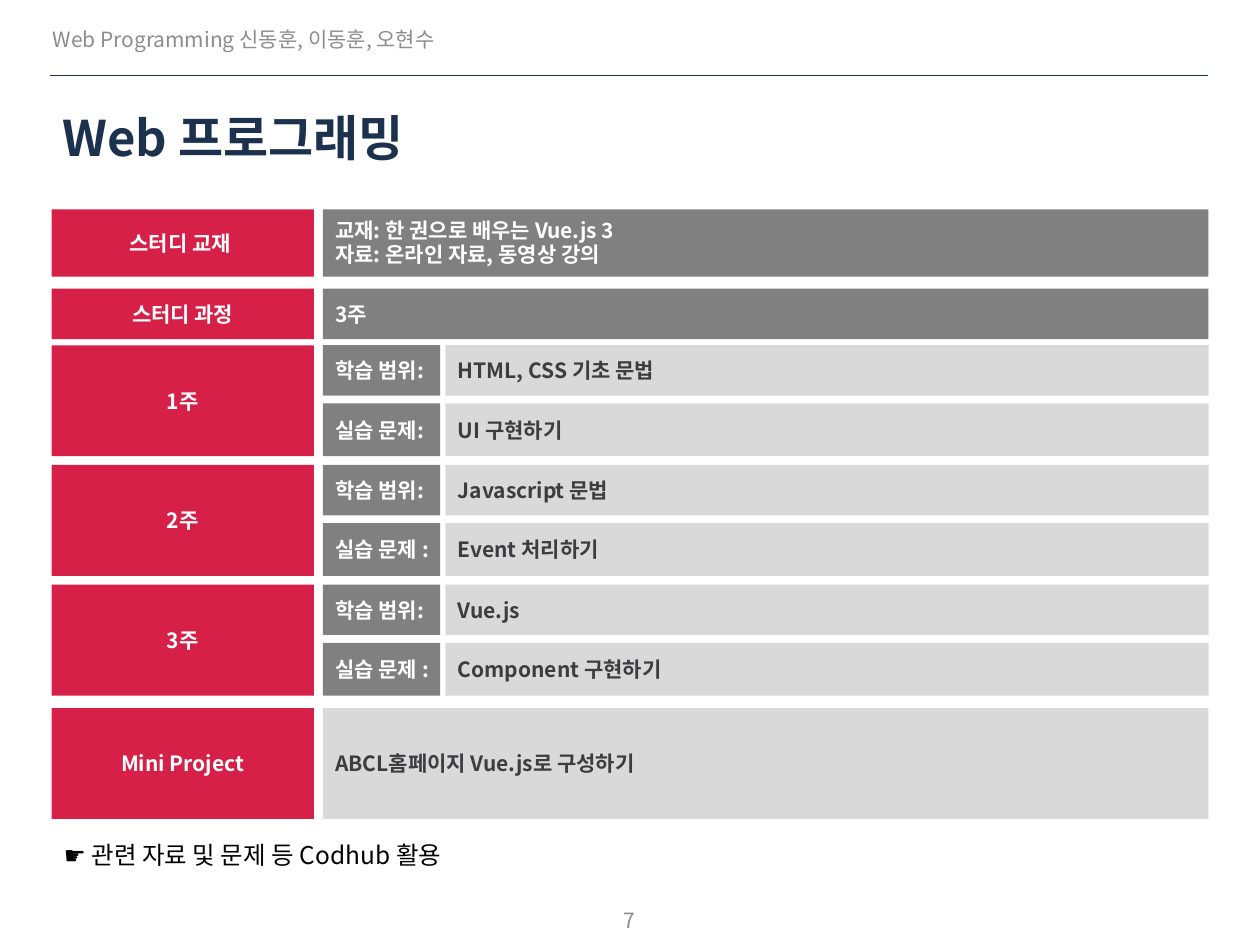
from dataclasses import dataclass

from lxml import etree
from pptx import Presentation
from pptx.dml.color import RGBColor
from pptx.enum.shapes import MSO_CONNECTOR, MSO_SHAPE
from pptx.enum.text import MSO_ANCHOR, PP_ALIGN
from pptx.oxml.ns import qn
from pptx.util import Pt

RECT = MSO_SHAPE.RECTANGLE
LINE = MSO_CONNECTOR.STRAIGHT
MID, TOP = MSO_ANCHOR.MIDDLE, MSO_ANCHOR.TOP
LEFT, CENTER = PP_ALIGN.LEFT, PP_ALIGN.CENTER


@dataclass(frozen=True)
class Theme:
    """Colours, font and type sizes."""
    font: str = "Noto Sans CJK KR"
    navy: str = "1C314E"
    red: str = "D62048"
    gray: str = "808080"
    pale: str = "D9D9D9"
    white: str = "FFFFFF"
    ink: str = "3D3C3E"
    muted: str = "8C8C8C"
    black: str = "000000"
    title: int = 28
    note: int = 14
    body: int = 12


class Page:
    """Draws styled elements on one slide."""

    def __init__(self, slide, theme):
        """Keep the slide and its style."""
        self.shapes = slide.shapes
        self.theme = theme

    def label(self, shape, lines, size, color, bold=False, align=LEFT, anchor=MID):
        """Fill a shape with one paragraph per line."""
        frame = shape.text_frame
        frame.word_wrap = True
        frame.vertical_anchor = anchor
        for i, line in enumerate(lines):
            para = frame.add_paragraph() if i else frame.paragraphs[0]
            para.alignment = align
            if len(lines) > 1:
                para.line_spacing = 0.95
            run = para.add_run()
            run.text = line
            font = run.font
            font.name, font.size, font.bold = self.theme.font, Pt(size), bold
            font.color.rgb = RGBColor.from_string(color)
            for tag in ("a:ea", "a:sym"):
                face = etree.SubElement(run._r.get_or_add_rPr(), qn(tag))
                face.set("typeface", self.theme.font)

    def text(self, box, line, size, color, **style):
        """Add a plain text box."""
        shape = self.shapes.add_textbox(*map(Pt, box))
        self.label(shape, [line], size, color, **style)

    def cell(self, box, lines, fill, color, align=LEFT):
        """Add a filled block with bold text."""
        shape = self.shapes.add_shape(RECT, *map(Pt, box))
        shape.shadow.inherit = False
        shape.fill.solid()
        shape.fill.fore_color.rgb = RGBColor.from_string(fill)
        shape.line.fill.background()
        frame = shape.text_frame
        frame.margin_top = frame.margin_bottom = Pt(0)
        if align == LEFT:
            frame.margin_right = Pt(0)
        self.label(shape, lines, self.theme.body, color, bold=True, align=align)

    def rule(self, left, right, top, color, width):
        """Add a level line."""
        line = self.shapes.add_connector(LINE, Pt(left), Pt(top), Pt(right), Pt(top))
        line.line.color.rgb = RGBColor.from_string(color)
        line.line.width = Pt(width)
        etree.SubElement(line._element.spPr, qn("a:effectLst"))


HEAD_X, HEAD_W = 29.5, 149.8
BODY_X, TOPIC_W, PLAN_X, EDGE = 184.5, 67, 254.5, 690.6
WEEK_Y, WEEK_STEP, WEEK_H = 197.3, 68.4, 63.4
SCOPE_H, TASK_DY, TASK_H = 28.8, 33.3, 30.1

WEEKS = [
    ("1주", "HTML, CSS 기초 문법", "실습 문제:", "UI 구현하기"),
    ("2주", "Javascript 문법", "실습 문제 :", "Event 처리하기"),
    ("3주", "Vue.js ", "실습 문제 :", "Component 구현하기"),
]


def band(page, top, high, head, lines, fill, color):
    """Draw a red heading with one wide block."""
    t = page.theme
    page.cell((HEAD_X, top, HEAD_W, high), [head], t.red, t.white, CENTER)
    page.cell((BODY_X, top, EDGE - BODY_X, high), lines, fill, color)


def week(page, top, head, scope, label, task):
    """Draw a week with its scope and task rows."""
    t = page.theme
    page.cell((HEAD_X, top, HEAD_W, WEEK_H), [head], t.red, t.white, CENTER)
    rows = [(top, SCOPE_H, "학습 범위:", scope),
            (top + TASK_DY, TASK_H, label, task)]
    for y, high, topic, plan in rows:
        page.cell((BODY_X, y, TOPIC_W, high), [topic], t.gray, t.white)
        page.cell((PLAN_X, y, EDGE - PLAN_X, high), [plan], t.pale, t.ink)


def main():
    """Build and save the slide."""
    deck = Presentation()
    deck.slide_width, deck.slide_height = Pt(720), Pt(540)
    t = Theme()
    page = Page(deck.slides.add_slide(deck.slide_layouts[6]), t)

    page.rule(28.8, 690.5, 43.2, t.navy, 0.25)
    page.text((23, 8, 320, 28.8), "Web Programming 신동훈, 이동훈, 오현수",
              t.body, t.muted)
    page.text((28.8, 44.6, 661, 67), "Web 프로그래밍", t.title, t.navy, bold=True)

    books = ["교재: 한 권으로 배우는 Vue.js 3", "자료: 온라인 자료, 동영상 강의"]
    band(page, 119.7, 38.4, "스터디 교재 ", books, t.gray, t.white)
    band(page, 165, 28.8, "스터디 과정", ["3주"], t.gray, t.white)
    for i, plan in enumerate(WEEKS):
        week(page, WEEK_Y + i * WEEK_STEP, *plan)
    band(page, 404.6, WEEK_H, "Mini Project",
         ["ABCL홈페이지 Vue.js로 구성하기"], t.pale, t.ink)

    page.text((29.5, 476.6, 360, 24.5), "☛ 관련 자료 및 문제 등 Codhub 활용",
              t.note, t.black, anchor=TOP)
    page.text((275.8, 511.2, 167.8, 28.8), "7", t.body, t.muted, align=CENTER)
    deck.save("out.pptx")


main()
